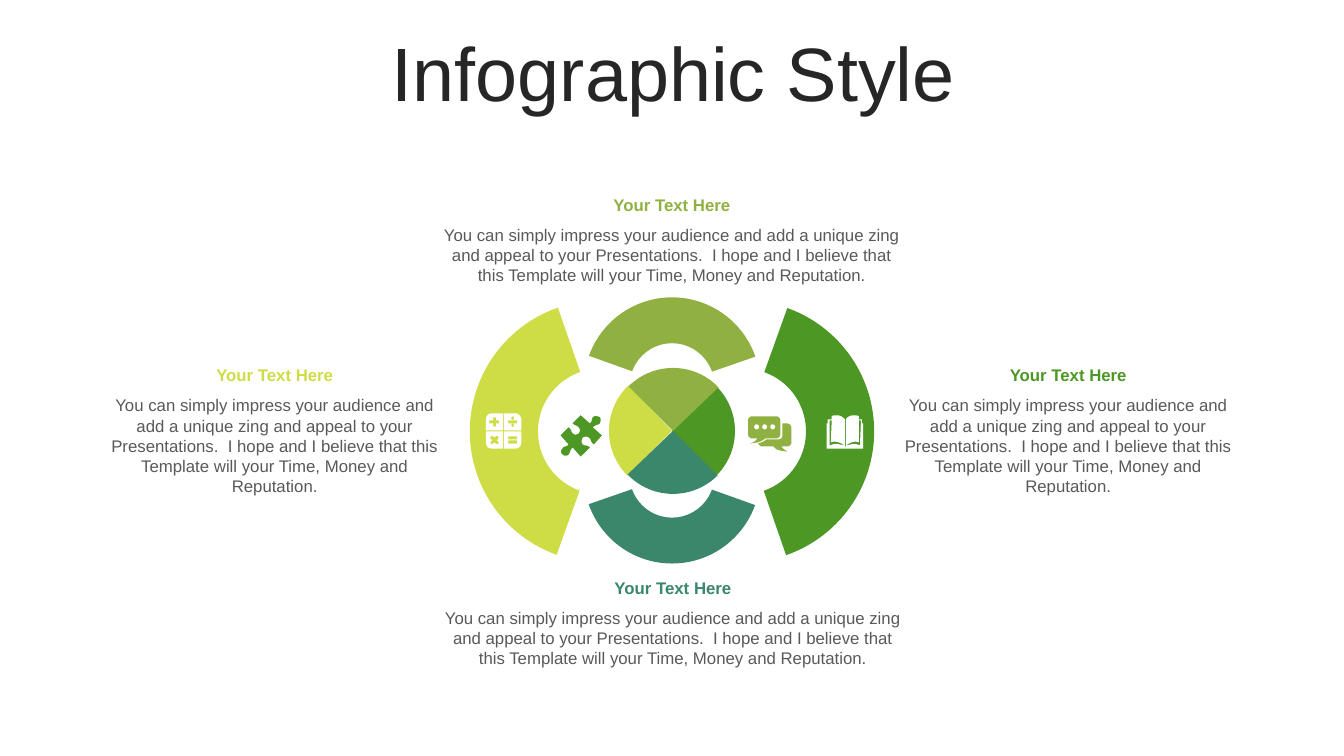
"""Build the Infographic Style slide: a ring of arcs, a pie, icons and four captions."""
import math
import pptx
import pptx.dml.color
import pptx.enum.shapes
import pptx.enum.text
import pptx.util

Inches = pptx.util.Inches
KIND = pptx.enum.shapes.MSO_SHAPE
LIME, LEAF, MOSS, TEAL = "CEDD46", "4D9724", "90B141", "3A876B"
INK, GRAY, WHITE = "262626", "595959", "FFFFFF"
BODY = ("You can simply impress your audience and add a unique zing and appeal "
        "to your Presentations.  I hope and I believe that this Template will "
        "your Time, Money and Reputation.")

deck = pptx.Presentation()
deck.slide_width, deck.slide_height = Inches(13.33), Inches(7.5)
slide = deck.slides.add_slide(deck.slide_layouts[6])
shapes = slide.shapes


def paint(item, color):
    item.fill.solid()
    item.fill.fore_color.rgb = pptx.dml.color.RGBColor.from_string(color)
    if hasattr(item, "line"):
        item.line.fill.background()
        item.shadow.inherit = False


def write(text, left, top, width, height, size, color, bold=False):
    box = shapes.add_textbox(Inches(left), Inches(top), Inches(width), Inches(height))
    frame = box.text_frame
    frame.word_wrap = True
    frame.auto_size = pptx.enum.text.MSO_AUTO_SIZE.NONE
    para = frame.paragraphs[0]
    para.alignment = pptx.enum.text.PP_ALIGN.CENTER
    run = para.add_run()
    run.text = text
    run.font.name, run.font.size, run.font.bold = "Arial", pptx.util.Pt(size), bold
    paint(run.font, color)
    return frame


title = write("Infographic Style", 0.35, 0.37, 12.66, 0.79, 54, INK)
title.vertical_anchor = pptx.enum.text.MSO_ANCHOR.MIDDLE
title.paragraphs[0].line_spacing = 0.9

ARC = KIND.BLOCK_ARC, (119.83, 204.51, 0.26)
PIE = KIND.PIE, (0, 54.72)
rounds = [
    (ARC, 4.66, 2.98, 2.6, 270, LIME),
    (ARC, 6.07, 2.98, 2.6, 90, LEAF),
    (ARC, 5.79, 2.95, 1.75, 0, MOSS),
    (ARC, 5.79, 3.84, 1.75, 180, TEAL),
    (PIE, 6.04, 3.65, 1.25, 135, LIME),
    (PIE, 6.04, 3.65, 1.25, 315, LEAF),
    (PIE, 6.05, 3.65, 1.25, 45, TEAL),
    (PIE, 6.05, 3.65, 1.25, 225, MOSS),
]
for (kind, bends), left, top, size, turn, color in rounds:
    part = shapes.add_shape(kind, Inches(left), Inches(top), Inches(size), Inches(size))
    for index, bend in enumerate(bends):
        part.adjustments[index] = bend
    part.rotation = turn
    paint(part, color)

captions = [
    (8.82, 3.57, 3.55, 1.11, LEAF),
    (4.28, 1.88, 4.77, 0.71, MOSS),
    (0.95, 3.57, 3.55, 1.11, LIME),
    (4.29, 5.68, 4.77, 0.71, TEAL),
]
for left, top, width, height, color in captions:
    write(BODY, left, top + 0.3, width, height, 12, GRAY)
    write("Your Text Here", left, top, width, 0.3, 12, color, True)

puzzle = """M 39 2 C 40 3 40 6 39 8 C 37 10 35 9 32 12 L 41 20 L 33 29
 C 29 26 31 24 28 22 C 26 21 24 21 22 22 C 21 24 20 27 22 29 C 25 31 26 29 29 32
 L 20 41 L 12 32 C 9 35 10 36 8 39 C 6 41 3 40 2 39 C 0 37 0 35 2 33
 C 3 30 6 32 8 29 L 0 20 L 8 12 C 11 14 10 16 12 18 C 14 20 17 19 18 18
 C 19 17 20 14 18 12 C 15 9 15 11 12 8 L 20 0 L 29 8 C 32 6 30 5 32 2
 C 34 0 37 1 39 2"""

chat = """M 34 7 L 38 7 C 41 7 43 9 43 12 L 43 26 C 43 28 41 30 38 30 L 33 30
 C 34 31 34 32 39 35 C 31 34 29 34 25 30 L 14 30 C 13 30 11 29 10 27
 C 13 26 16 25 18 23 L 29 23 C 32 23 34 22 34 19
 M 4 0 L 28 0 C 30 0 32 2 32 4 L 32 18 C 32 20 30 22 28 22 L 17 22
 C 12 26 10 26 2 27 C 7 25 7 25 9 22 L 4 22 C 2 22 0 20 0 18 L 0 4 C 0 2 2 0 4 0"""
for x in (8, 16, 24):
    chat += (f" M {x} 8 C {x - 1} 8 {x - 2} 9 {x - 2} 10.5 C {x - 2} 12 {x - 1} 13 {x} 13"
             f" C {x + 2} 13 {x + 3} 12 {x + 3} 10.5 C {x + 3} 9 {x + 2} 8 {x} 8")

maths = """M 6 22 L 4 24 L 6 27 L 4 29 L 6 31 L 8 29 L 11 31 L 13 29 L 11 27
 L 13 24 L 11 22 L 8 24 M 18 18 L 35 18 L 35 29 C 35 33 32 35 29 35 L 18 35
 M 0 18 L 17 18 L 17 35 L 6 35 C 2 35 0 33 0 29
 M 7 4 L 7 7 L 3 7 L 3 10 L 7 10 L 7 13 L 10 13 L 10 10 L 13 10 L 13 7 L 10 7 L 10 4
 M 6 0 L 29 0 C 32 0 35 3 35 6 L 35 17 L 18 17 L 18 0 L 17 0 L 17 17 L 0 17
 L 0 6 C 0 3 2 0 6 0"""
for y in (7, 23, 27):
    maths += f" M 22 {y} L 22 {y + 3} L 31 {y + 3} L 31 {y}"
for y in (3, 10):
    maths += (f" M 26.5 {y} C 26 {y} 25 {y + 1} 25 {y + 2} C 25 {y + 3} 26 {y + 3.5} 26.5 {y + 3.5}"
              f" C 27 {y + 3.5} 28 {y + 3} 28 {y + 2} C 28 {y + 1} 27 {y} 26.5 {y}")

book = """M 18 31 L 19 31 L 19 30 C 25 29 27 27 33 30 L 34 5 L 32 5 L 32 27
 C 28 25 23 27 19 30 L 19 4 C 21 1 24 0 27 0 C 28 0 30 0 32 1 L 32 4 L 35 4 L 35 8
 L 36 8 L 36 33 L 0 33 L 0 8 L 1 8 L 1 4 L 5 4 L 5 1 C 6 0 8 0 10 0
 C 13 0 15 1 18 4 L 18 30 C 13 27 9 25 4 27 L 5 5 L 3 5 L 3 30 C 9 27 12 29 18 30"""

icons = [
    (puzzle, 5.56, 4.12, 45, LEAF),
    (chat, 7.42, 4.13, 0, MOSS),
    (maths, 4.82, 4.1, 0, WHITE),
    (book, 8.2, 4.12, 0, WHITE),
]
STEPS = 6
MID = 20.5
for code, left, top, turn, color in icons:
    pen = None
    cos, sin = math.cos(math.radians(turn)), math.sin(math.radians(turn))
    for loop in code.split("M")[1:]:
        dots = []
        for piece in loop.replace("C", "L").split("L"):
            nums = [float(num) for num in piece.split()]
            ends = list(zip(nums[::2], nums[1::2]))
            if len(ends) == 1:
                dots += ends
                continue
            curve = [dots[-1]] + ends
            for step in range(1, STEPS + 1):
                t = step / STEPS
                parts = ((1 - t) ** 3, 3 * t * (1 - t) ** 2, 3 * t * t * (1 - t), t ** 3)
                dots.append(tuple(sum(w * dot[axis] for w, dot in zip(parts, curve))
                                  for axis in (0, 1)))
        spots = []
        for x, y in dots:
            dx, dy = x - MID, y - MID
            spots.append((Inches(left + (MID + dx * cos + dy * sin) / 100),
                          Inches(top + (MID + dy * cos - dx * sin) / 100)))
        if pen is None:
            pen = shapes.build_freeform(*spots[0])
        else:
            pen.move_to(*spots[0])
        pen.add_line_segments(spots[1:], close=True)
    icon = pen.convert_to_shape()
    icon.rotation = turn
    paint(icon, color)

deck.save("out.pptx")
